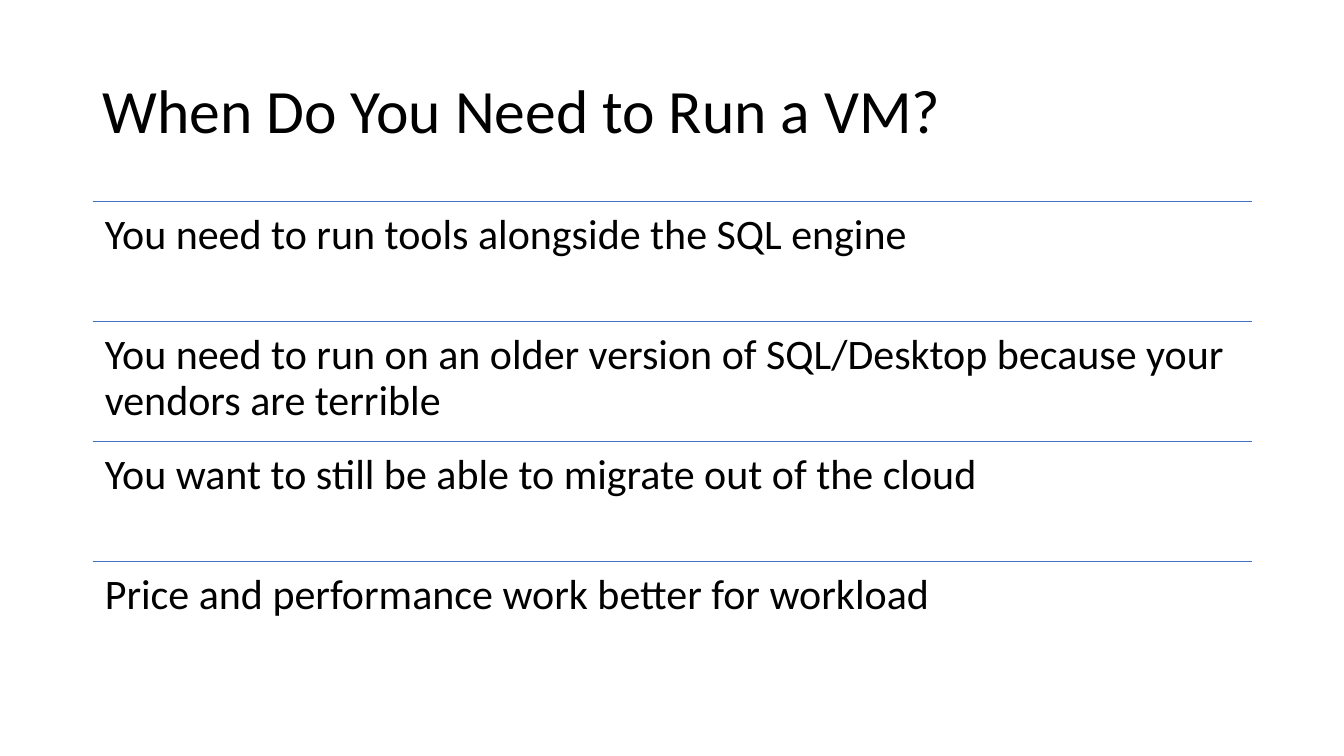
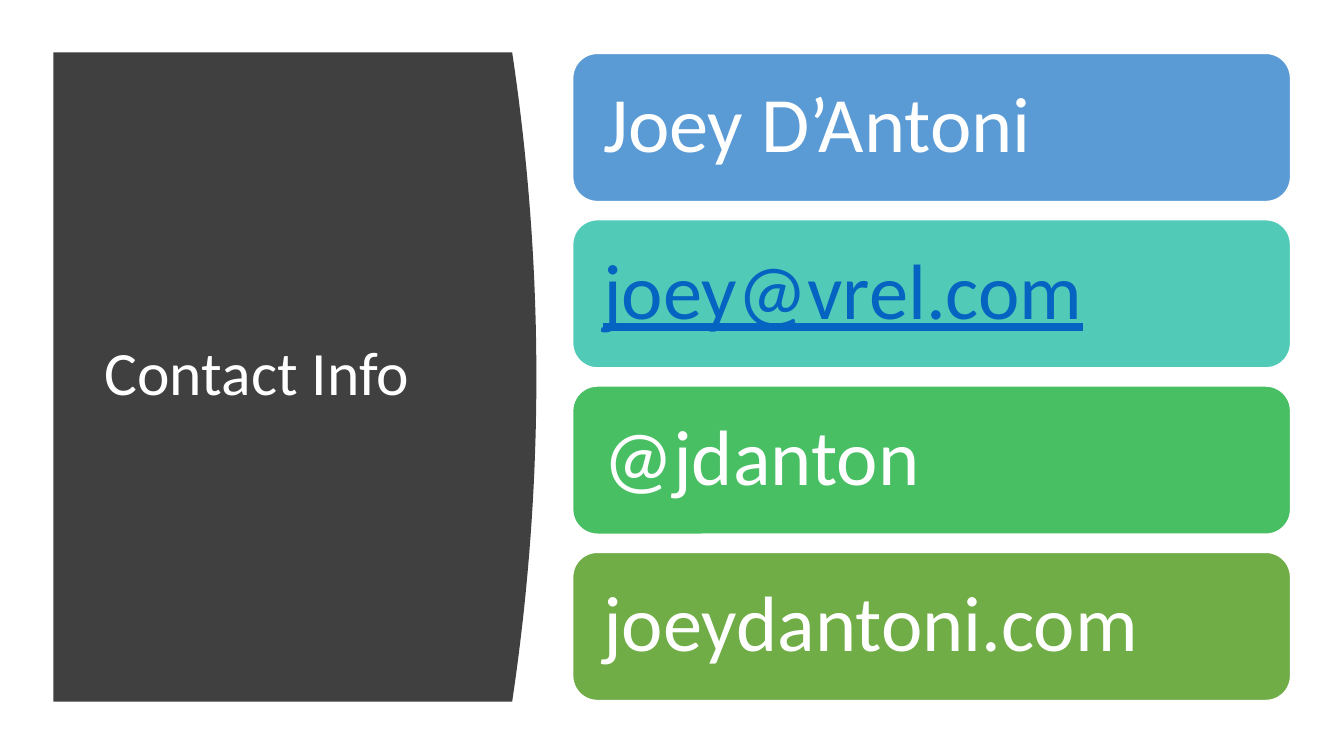
"""Build two slides: reasons to run a VM, and contact details."""
from dataclasses import dataclass

import lxml.etree
import pptx
import pptx.dml.color
import pptx.enum.shapes
import pptx.enum.text
import pptx.oxml.ns
import pptx.shapes.autoshape
import pptx.slide
import pptx.text.text
import pptx.util

Inches = pptx.util.Inches
Pt = pptx.util.Pt
Anchor = pptx.enum.text.MSO_ANCHOR
Shape = pptx.enum.shapes.MSO_SHAPE

COLORS = {
    "ink": "000000",
    "paper": "FFFFFF",
    "rule": "4472C4",
    "panel": "404040",
    "link": "0563C1",
    "blue": "5B9BD5",
    "teal": "52CAB8",
    "green": "49BF64",
    "olive": "70AD47",
}
FONT = "Calibri"


@dataclass(frozen=True)
class Box:
    left: float
    top: float
    width: float
    height: float

    def emu(self) -> tuple[int, ...]:
        return tuple(Inches(v) for v in (self.left, self.top, self.width, self.height))


@dataclass(frozen=True)
class Style:
    size: int
    color: str = "ink"
    underline: bool = False
    anchor: Anchor = Anchor.MIDDLE
    inset_x: float = 0.1
    inset_y: float = 0.05


@dataclass(frozen=True)
class Card:
    text: str
    fill: str
    color: str = "paper"
    underline: bool = False


REASONS = (
    "You need to run tools alongside the SQL engine",
    "You need to run on an older version of SQL/Desktop because your vendors are terrible",
    "You want to still be able to migrate out of the cloud",
    "Price and performance work better for workload",
)
CARDS = (
    Card("Joey D’Antoni", "blue"),
    Card("joey@vrel.com", "teal", "link", True),
    Card("@jdanton", "green"),
    Card("joeydantoni.com", "olive"),
)
REASON_ROW = Box(0.92, 2, 11.5, 1.19)
CARD_ROW = Box(5.68, 0.53, 7.12, 1.47)
CARD_PITCH = 1.65
PANEL = Box(0.53, 0.52, 4.79, 6.44)
PANEL_BULGE = 0.24
PANEL_STEPS = 40


def rgb(name: str) -> pptx.dml.color.RGBColor:
    return pptx.dml.color.RGBColor.from_string(COLORS[name])


def write(tf: pptx.text.text.TextFrame, text: str, style: Style) -> None:
    frame_format = {
        "word_wrap": True,
        "vertical_anchor": style.anchor,
        "margin_left": Inches(style.inset_x),
        "margin_right": Inches(style.inset_x),
        "margin_top": Inches(style.inset_y),
        "margin_bottom": Inches(style.inset_y),
    }
    for key, value in frame_format.items():
        setattr(tf, key, value)
    p = tf.paragraphs[0]
    p.alignment = pptx.enum.text.PP_ALIGN.LEFT
    p.line_spacing = 0.9
    r = p.add_run()
    r.text = text
    font_format = {"name": FONT, "size": Pt(style.size), "underline": style.underline}
    for key, value in font_format.items():
        setattr(r.font, key, value)
    r.font.color.rgb = rgb(style.color)


def add_text(s: pptx.slide.Slide, box: Box, text: str, style: Style) -> None:
    write(s.shapes.add_textbox(*box.emu()).text_frame, text, style)


def add_title(s: pptx.slide.Slide, box: Box, text: str, color: str = "ink") -> None:
    add_text(s, box, text, Style(44, color))


def add_rule(s: pptx.slide.Slide, left: float, top: float, width: float) -> None:
    x, y = Inches(left), Inches(top)
    kind = pptx.enum.shapes.MSO_CONNECTOR.STRAIGHT
    line = s.shapes.add_connector(kind, x, y, x + Inches(width), y)
    line.line.color.rgb = rgb("rule")
    line.line.width = Pt(1)
    lxml.etree.SubElement(line._element.spPr, pptx.oxml.ns.qn("a:effectLst"))


def add_reason(s: pptx.slide.Slide, box: Box, text: str) -> None:
    add_rule(s, box.left, box.top, box.width)
    add_text(s, box, text, Style(30, anchor=Anchor.TOP, inset_x=0.12, inset_y=0.12))


def set_fill(sp: pptx.shapes.autoshape.Shape, color: str) -> None:
    sp.shadow.inherit = False
    sp.fill.solid()
    sp.fill.fore_color.rgb = rgb(color)


def add_card(s: pptx.slide.Slide, box: Box, card: Card) -> None:
    sp = s.shapes.add_shape(Shape.ROUNDED_RECTANGLE, *box.emu())
    set_fill(sp, card.fill)
    sp.line.color.rgb = rgb("paper")
    sp.line.width = Pt(1)
    style = Style(56, card.color, card.underline, inset_x=0.23, inset_y=0.23)
    write(sp.text_frame, card.text, style)


def add_panel(s: pptx.slide.Slide, box: Box) -> None:
    right, bottom = box.left + box.width, box.top + box.height
    points = []
    for i in range(PANEL_STEPS + 1):
        t = i / PANEL_STEPS
        x = right - PANEL_BULGE * (2 * t - 1) ** 2
        points.append((Inches(x), Inches(box.top + t * box.height)))
    points.append((Inches(box.left), Inches(bottom)))
    builder = s.shapes.build_freeform(Inches(box.left), Inches(box.top))
    builder.add_line_segments(points, close=True)
    sp = builder.convert_to_shape()
    set_fill(sp, "panel")
    sp.line.fill.background()


def build_reasons(s: pptx.slide.Slide) -> None:
    add_title(s, Box(0.92, 0.4, 11.5, 1.45), "When Do You Need to Run a VM?")
    row = REASON_ROW
    for i, text in enumerate(REASONS):
        add_reason(s, Box(row.left, row.top + i * row.height, row.width, row.height), text)


def build_contact(s: pptx.slide.Slide) -> None:
    add_panel(s, PANEL)
    add_title(s, Box(0.94, 1.11, 3.74, 5.24), "Contact Info", "paper")
    row = CARD_ROW
    for i, card in enumerate(CARDS):
        add_card(s, Box(row.left, row.top + i * CARD_PITCH, row.width, row.height), card)


def main() -> None:
    prs = pptx.Presentation()
    prs.slide_width, prs.slide_height = Inches(13.33), Inches(7.5)
    for build in (build_reasons, build_contact):
        build(prs.slides.add_slide(prs.slide_layouts[6]))
    prs.save("out.pptx")


if __name__ == "__main__":
    main()
